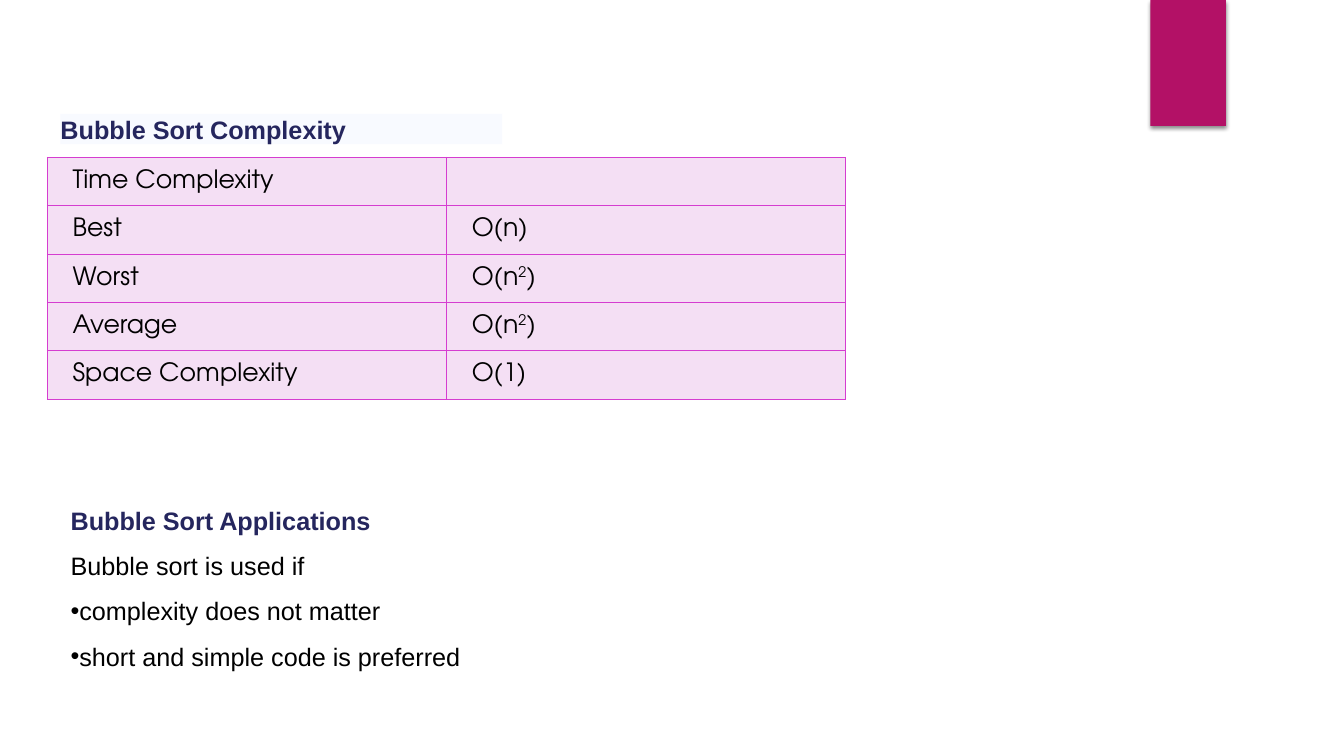
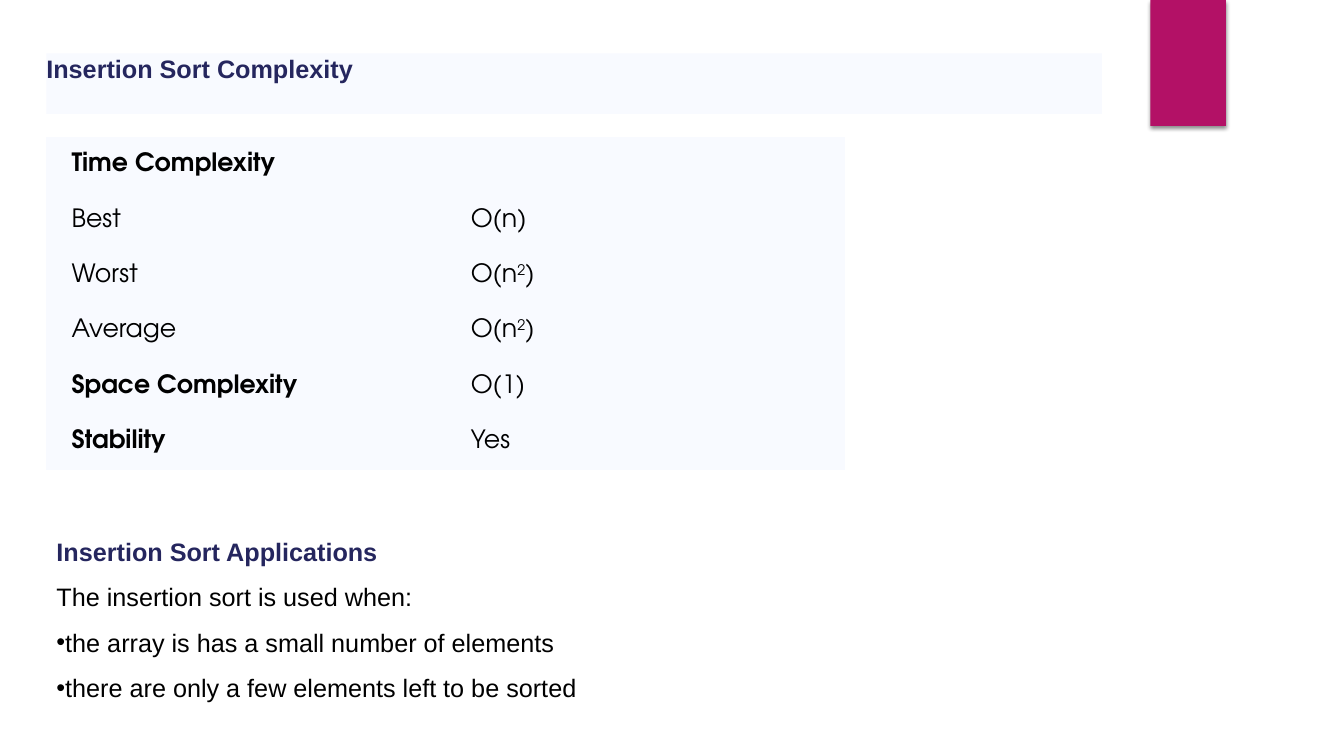
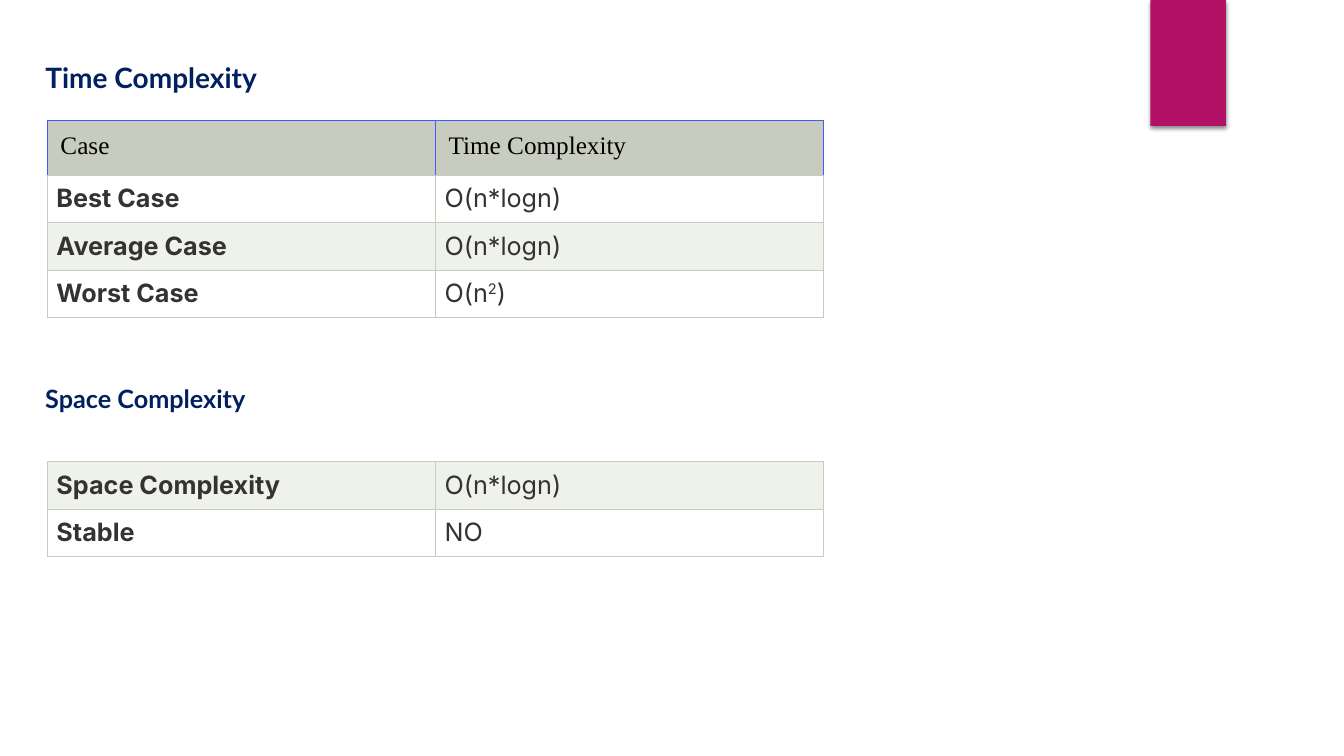
from lxml import etree
from pptx import Presentation
from pptx.dml.color import RGBColor
from pptx.enum.shapes import MSO_SHAPE as Shape
from pptx.enum.text import MSO_ANCHOR as Anchor, MSO_AUTO_SIZE as AutoSize, PP_ALIGN as Align
from pptx.oxml import parse_xml
from pptx.oxml.ns import nsdecls, qn
from pptx.util import Inches, Pt

COLORS = {
    "band": "B31166", "navy": "25265E", "blue": "002060", "black": "000000",
    "gray": "333333", "pale": "F8FAFF", "white": "FFFFFF", "pink": "F4DFF4",
    "magenta": "D53DD0", "sage": "C7CCBE", "mist": "EFF1EB", "royal": "405AFE",
}
NO_GRID_STYLE = "{2D5ABB26-0587-4C30-8999-92F81FD0307C}"

HEADING = {"name": "Arial", "size": Pt(18), "bold": True, "color": "navy"}
LATO_HEADING = HEADING | {"name": "Lato", "color": "blue"}
PLAIN = HEADING | {"bold": False, "color": "black"}
GOTHIC = PLAIN | {"name": "TeX Gyre Adventor"}
SERIF = PLAIN | {"name": "Times New Roman"}
INTER = PLAIN | {"name": "Inter", "color": "gray"}


def write(para, text, style):
    """Write text in one style, with any ² as a raised 2."""
    before, square, after = text.partition("²")
    for part in filter(None, (before, square and "2", after)):
        span = para.add_run()
        span.text = part
        for name, value in style.items():
            if name == "color":
                span.font.color.rgb = RGBColor.from_string(COLORS[value])
            else:
                setattr(span.font, name, value)
        if square and part == "2":
            span.font._element.set("baseline", "30000")


def place_text(box, place, fill=None, inset=(0.1, 0.05), anchor=Anchor.TOP):
    """Move a text shape and set up its frame."""
    box.left, box.top, box.width, box.height = map(Inches, place)
    if fill:
        box.fill.solid()
        box.fill.fore_color.rgb = RGBColor.from_string(COLORS[fill])
    frame = box.text_frame
    across, down = map(Inches, inset)
    settings = {"word_wrap": True, "auto_size": AutoSize.NONE, "vertical_anchor": anchor,
                "margin_left": across, "margin_right": across,
                "margin_top": down, "margin_bottom": down}
    for name, value in settings.items():
        setattr(frame, name, value)
    frame.paragraphs[0].alignment = Align.LEFT
    return frame


# Content
GOTHIC_TABLE = {"width": 3.96, "anchor": Anchor.MIDDLE, "align": Align.LEFT, "style": GOTHIC}
INTER_TABLE = {"width": 3.85, "anchor": Anchor.TOP, "align": Align.JUSTIFY, "style": INTER,
               "inset": (0.09, 0.08), "row": 0.47, "border": "sage"}
GOTHIC_ROWS = [("Time Complexity", ""), ("Best", "O(n)"), ("Worst", "O(n²)"),
               ("Average", "O(n²)"), ("Space Complexity", "O(1)")]

PAGES = [
    {
        "headings": [("Bubble Sort Complexity", HEADING, dict(
            place=(0.6, 1.13, 4.38, 0.3), fill="pale", inset=(0, 0), anchor=Anchor.MIDDLE))],
        "tables": [GOTHIC_TABLE | {
            "at": (0.47, 1.56), "row": 0.48, "inset": (0.25, 0.08), "border": "magenta",
            "fills": ["pink"], "bold": [], "rows": GOTHIC_ROWS}],
        "list": ((0.6, 4.81, 6.67, 1.92), [
            "Bubble Sort Applications", "Bubble sort is used if",
            "complexity does not matter", "short and simple code is preferred"]),
    },
    {
        "headings": [("Insertion Sort Complexity", HEADING, dict(
            place=(0.46, 0.53, 10.47, 0.6), fill="pale", inset=(0, 0)))],
        "tables": [GOTHIC_TABLE | {
            "at": (0.46, 1.36), "row": 0.55, "inset": (0.25, 0.12), "border": None,
            "fills": ["pale"], "bold": ["Time Complexity", "Space Complexity", "Stability"],
            "rows": GOTHIC_ROWS + [("Stability", "Yes")]}],
        "list": ((0.46, 5.12, 6.67, 1.92), [
            "Insertion Sort Applications", "The insertion sort is used when:",
            "the array is has a small number of elements",
            "there are only a few elements left to be sorted"]),
    },
    {
        "headings": [
            ("Time Complexity", LATO_HEADING | {"size": Pt(20)}, dict(
                place=(0.35, 0.55, 10.95, 0.44), anchor=Anchor.MIDDLE)),
            ("Space Complexity", LATO_HEADING, dict(
                place=(0.35, 3.75, 10.78, 0.4), anchor=Anchor.MIDDLE))],
        "tables": [
            INTER_TABLE | {
                "at": (0.47, 1.19), "header": True, "fills": ["sage", "white", "mist", "white"],
                "bold": ["Best Case", "Average Case", "Worst Case"],
                "rows": [("Case", "Time Complexity"), ("Best Case", "O(n*logn)"),
                         ("Average Case", "O(n*logn)"), ("Worst Case", "O(n²)")]},
            INTER_TABLE | {
                "at": (0.47, 4.58), "fills": ["mist", "white"],
                "bold": ["Space Complexity", "Stable"],
                "rows": [("Space Complexity", "O(n*logn)"), ("Stable", "NO")]}],
    },
]

deck = Presentation()
deck.slide_width, deck.slide_height = Inches(13.33), Inches(7.5)

for number, content in enumerate(PAGES):
    page = deck.slides.add_slide(deck.slide_layouts[1 if "list" in content else 5])

    # Shared band, kept on the master
    if number == 0:
        band = page.shapes.add_shape(Shape.RECTANGLE, *map(Inches, (11.41, 0, 0.75, 1.25)))
        band.fill.solid()
        band.fill.fore_color.rgb = RGBColor.from_string(COLORS["band"])
        band.line.fill.background()
        band.element.spPr.append(parse_xml(
            f'<a:effectLst {nsdecls("a")}><a:outerShdw blurRad="{Pt(3)}" dist="{Pt(2)}" '
            'dir="5400000" rotWithShape="0"><a:srgbClr val="000000"><a:alpha val="45000"/>'
            '</a:srgbClr></a:outerShdw></a:effectLst>'))
        band.element.nvSpPr.cNvPr.set("id", "20")
        deck.slide_master.element.cSld.spTree.append(band.element)

    # Headings: the first is the title
    for index, (text, style, layout) in enumerate(content["headings"]):
        if index:
            box = page.shapes.add_textbox(*map(Inches, layout["place"]))
        else:
            box = page.shapes.title
        write(place_text(box, **layout).paragraphs[0], text, style)

    # Tables
    for grid in content["tables"]:
        rows = grid["rows"]
        left, top = grid["at"]
        width, height = grid["width"], grid["row"]
        frame = page.shapes.add_table(len(rows), 2, Inches(left), Inches(top),
                                      Inches(2 * width), Inches(height * len(rows)))
        table = frame.table
        table.first_row = table.horz_banding = False
        table._tbl.tblPr.find(qn("a:tableStyleId")).text = NO_GRID_STYLE
        for column in table.columns:
            column.width = Inches(width)
        for r, row in enumerate(rows):
            is_header = r == 0 and grid.get("header", False)
            table.rows[r].height = Inches(0.55 if is_header else height)
            across, down = map(Inches, (0.13, 0.12) if is_header else grid["inset"])
            for c, text in enumerate(row):
                cell = table.cell(r, c)
                settings = {"margin_left": across, "margin_right": across, "margin_top": down,
                            "margin_bottom": down, "vertical_anchor": grid["anchor"]}
                for name, value in settings.items():
                    setattr(cell, name, value)
                fills = grid["fills"]
                cell.fill.solid()
                cell.fill.fore_color.rgb = RGBColor.from_string(COLORS[fills[r % len(fills)]])
                para = cell.text_frame.paragraphs[0]
                para.alignment = Align.LEFT if is_header else grid["align"]
                style = SERIF if is_header else grid["style"]
                write(para, text, style | {"bold": text in grid["bold"] and not is_header})
                if grid["border"]:
                    for place, side in enumerate("LRTB"):
                        blue = is_header and side != "B"
                        color = COLORS["royal" if blue else grid["border"]]
                        line = etree.Element(qn(f"a:ln{side}"), w=str(Pt(0.75)))
                        fill = etree.SubElement(line, qn("a:solidFill"))
                        etree.SubElement(fill, qn("a:srgbClr"), val=color)
                        cell._tc.tcPr.insert(place, line)

    # List: heading, lead-in, then bullets
    if "list" in content:
        place, lines = content["list"]
        frame = place_text(page.placeholders[1], place)
        for index, text in enumerate(lines):
            para = frame.add_paragraph() if index else frame.paragraphs[0]
            settings = {"line_spacing": 1.5, "space_before": Pt(0), "alignment": Align.LEFT}
            for name, value in settings.items():
                setattr(para, name, value)
            write(para, text, PLAIN if index else HEADING)
            properties = para._p.get_or_add_pPr()
            properties.set("marL", "0")
            properties.set("indent", "0")
            if index < 2:
                etree.SubElement(properties, qn("a:buNone"))
            else:
                etree.SubElement(properties, qn("a:buFont"), typeface="Arial")
                etree.SubElement(properties, qn("a:buChar"), char="•")

deck.save("out.pptx")
